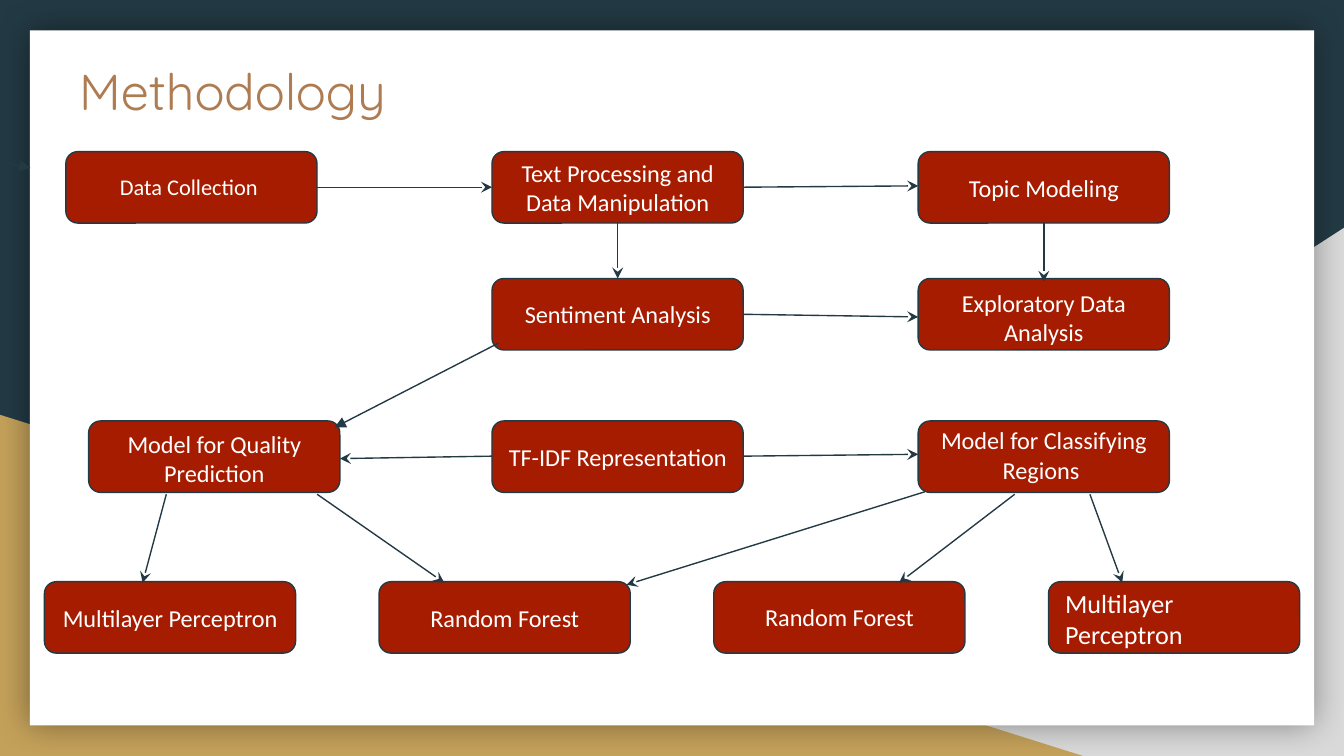
from lxml import etree
from pptx import Presentation
from pptx import util as u
from pptx.dml import color
from pptx.enum import shapes, text
from pptx.oxml import ns

DARK, RED, WHITE = "233A44", "A61C00", "FFFFFF"


def paint(fill, value):
    fill.solid()
    fill.fore_color.rgb = color.RGBColor.from_string(value)


def write(frame, words, font, size, value, align, layout):
    for name, setting in layout.items():
        setattr(frame, name, setting)
    frame.text = words
    for line in frame.paragraphs:
        line.alignment = align
        for name, setting in {"name": font, "size": u.Pt(size)}.items():
            setattr(line.font, name, setting)
        paint(line.font.fill, value)


deck = Presentation()
deck.slide_width, deck.slide_height = u.Pt(720), u.Pt(405)
slide = deck.slides.add_slide(deck.slide_layouts[6])
paint(slide.background.fill, DARK)

TRIANGLE = shapes.MSO_SHAPE.RIGHT_TRIANGLE
backdrop = []
for kind, left, top, width, height, value in [
    (TRIANGLE, 282.2, 122.1, 437.8, 282.9, "D9D9D9"),
    (TRIANGLE, 0, 222.2, 580.3, 182.8, "C4A15A"),
    (shapes.MSO_SHAPE.RECTANGLE, 16, 16.3, 688, 372.4, WHITE),
]:
    part = slide.shapes.add_shape(kind, u.Pt(left), u.Pt(top), u.Pt(width), u.Pt(height))
    part.shadow.inherit = False
    paint(part.fill, value)
    part.line.fill.background()
    backdrop.append(part)
grey_corner, gold_corner, card = backdrop
grey_corner._element.spPr.xfrm.set("flipH", "1")
effects = card._element.spPr.find(ns.qn("a:effectLst"))
glow = etree.SubElement(effects, ns.qn("a:outerShdw"), blurRad=str(u.Pt(18)), dist="0", dir="0", rotWithShape="0")
tint = etree.SubElement(glow, ns.qn("a:srgbClr"), val="000000")
etree.SubElement(tint, ns.qn("a:alpha"), val="40000")

heading = slide.shapes.add_textbox(u.Pt(35.3), u.Pt(25.2), u.Pt(591), u.Pt(44.6))
inset = {side: u.Pt(7.2) for side in ("margin_left", "margin_right", "margin_top", "margin_bottom")}
write(heading.text_frame, "Methodology", "Quicksand", 27, "AF7B51", text.PP_ALIGN.LEFT,
      {"word_wrap": True, "vertical_anchor": text.MSO_ANCHOR.TOP, **inset})

COLUMNS = [35.3, 263.6, 491.9]
ROWS = [81.2, 149.2, 225.5, 311.6]
MODELS = [23.8 + 179.3 * i for i in range(4)]
CENTER, LEFT = text.PP_ALIGN.CENTER, text.PP_ALIGN.LEFT
steps = [
    (COLUMNS[0], ROWS[0], "Data Collection ", 12, CENTER, -0.6),
    (COLUMNS[1], ROWS[0], "Text Processing and\nData Manipulation", 13, CENTER, 0),
    (COLUMNS[2], ROWS[0], "Topic Modeling", 13, CENTER, 0),
    (COLUMNS[2], ROWS[1], "Exploratory Data Analysis", 13, CENTER, 1.6),
    (COLUMNS[1], ROWS[1], "Sentiment Analysis", 13, CENTER, 0),
    (COLUMNS[1], ROWS[2], "TF-IDF Representation", 13, CENTER, 0),
    (47.5, ROWS[2], "Model for Quality Prediction", 13, CENTER, 1),
    (COLUMNS[2], ROWS[2], "Model for Classifying Regions ", 13, CENTER, -1),
    (MODELS[0], ROWS[3], "Multilayer Perceptron", 13, CENTER, 0),
    (MODELS[1], ROWS[3], "Random Forest", 13, CENTER, 0),
    (MODELS[2], ROWS[3], "Random Forest", 13, CENTER, -0.5),
    (MODELS[3], ROWS[3], "Multilayer Perceptron", 14, LEFT, 0.5),
]
for left, top, words, size, align, nudge in steps:
    step = slide.shapes.add_shape(shapes.MSO_SHAPE.ROUNDED_RECTANGLE,
                                  u.Pt(left), u.Pt(top), u.Pt(134.6), u.Pt(38.3))
    step.shadow.inherit = False
    paint(step.fill, RED)
    paint(step.line.fill, DARK)
    step.line.width = u.Pt(0.75)
    write(step.text_frame, words, "Calibri", size, WHITE, align, {
        "word_wrap": True,
        "vertical_anchor": text.MSO_ANCHOR.MIDDLE,
        "margin_left": u.Pt(7.2),
        "margin_right": u.Pt(7.2 if align == CENTER else 0),
        "margin_top": u.Pt(max(0, 2 * nudge)),
        "margin_bottom": u.Pt(max(0, -2 * nudge)),
    })

arrows = [
    (-1.4, 86.4, 16.3, 90, "triangle"),
    (169.9, 100.3, 263.6, 100.3, "stealth"),
    (398.2, 100.3, 491.9, 99.6, "stealth"),
    (559.2, 119.5, 559.2, 151, "stealth"),
    (398.2, 168.4, 491.9, 169.8, "stealth"),
    (330.9, 119.5, 330.9, 149.2, "stealth"),
    (267.1, 183.8, 179.3, 229, "triangle"),
    (263.6, 244.4, 182.1, 245.7, "stealth"),
    (398.2, 244.4, 491.9, 243.4, "stealth"),
    (495.4, 263.5, 335.6, 313.3, "stealth"),
    (543.6, 264.8, 481.7, 312.2, "stealth"),
    (583.9, 264.8, 601.2, 312.2, "stealth"),
    (89.1, 264.8, 76.4, 312.2, "stealth"),
    (169.9, 264.8, 238, 312.2, "stealth"),
]
for x1, y1, x2, y2, head in arrows:
    arrow = slide.shapes.add_connector(shapes.MSO_CONNECTOR.STRAIGHT, u.Pt(x1), u.Pt(y1), u.Pt(x2), u.Pt(y2))
    paint(arrow.line.fill, DARK)
    arrow.line.width = u.Pt(0.75)
    etree.SubElement(arrow.line._get_or_add_ln(), ns.qn("a:tailEnd"), type=head)
    etree.SubElement(arrow._element.spPr, ns.qn("a:effectLst"))

deck.save("out.pptx")
